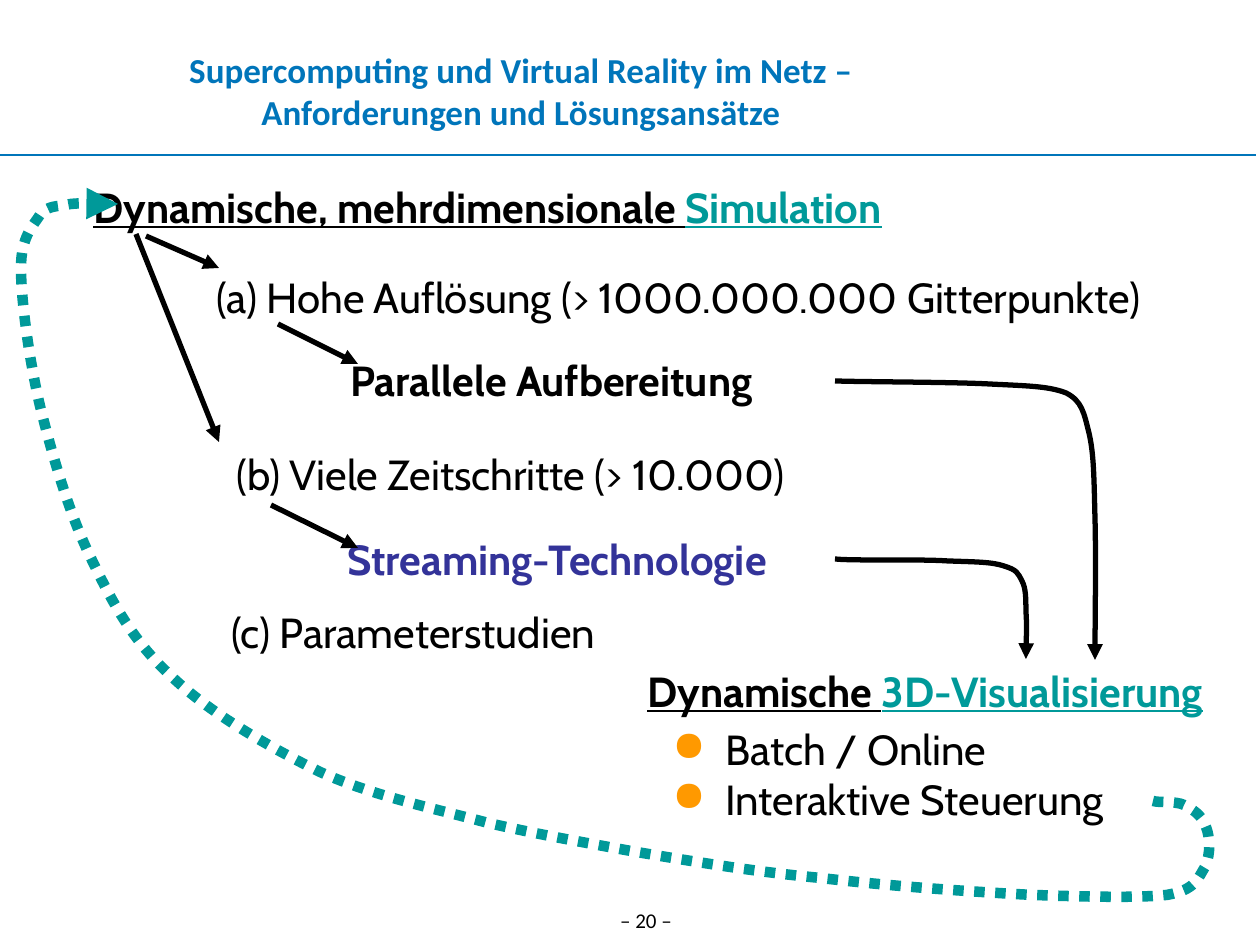
from dataclasses import dataclass

from lxml.etree import SubElement
from pptx import Presentation
from pptx.dml.color import RGBColor as RGB
from pptx.enum.dml import MSO_LINE
from pptx.enum.shapes import MSO_CONNECTOR as CONN
from pptx.enum.text import MSO_ANCHOR as ANCHOR, MSO_AUTO_SIZE as FIT, PP_ALIGN as ALIGN
from pptx.oxml.ns import qn
from pptx.util import Emu, Pt

SCALE = 914400 / 126  # EMU per px


@dataclass(frozen=True)
class Theme:
    black: str = "000000"
    blue: str = "0075BA"
    teal: str = "009999"
    indigo: str = "333399"
    orange: str = "FF9900"
    heading_font: str = "Calibri"
    body_font: str = "Cabin"
    title_size: int = 20
    body_size: int = 24
    footer_size: int = 12
    rule: float = 0.75
    arrow: int = 3
    loop: int = 6


def px(n):
    return Emu(round(n * SCALE))


class Deck:
    def __init__(self, prs, theme):
        self.theme = theme
        self.s = prs.slides.add_slide(prs.slide_layouts[5])

    def style(self, r, size, font, color, bold=False, underline=False):
        r.font.size, r.font.name = Pt(size), font
        r.font.color.rgb = RGB.from_string(color)
        r.font.bold, r.font.underline = bold, underline

    def title(self, text, x, y, w, h):
        t, sp = self.theme, self.s.shapes.title
        sp.left, sp.top, sp.width, sp.height = map(px, (x, y, w, h))
        tf = sp.text_frame
        tf.margin_left = tf.margin_right = tf.margin_top = tf.margin_bottom = 0
        tf.vertical_anchor, tf.auto_size = ANCHOR.MIDDLE, FIT.NONE
        p = tf.paragraphs[0]
        p.text = text
        p.alignment = ALIGN.CENTER
        for r in p.runs:
            self.style(r, t.title_size, t.heading_font, t.blue, bold=True)

    def box(self, x, y, w, h):
        tf = self.s.shapes.add_textbox(*map(px, (x, y, w, h))).text_frame
        tf.word_wrap = True
        return tf

    def text(self, x, y, w, *parts, h=63, **look):
        """Each part is a (wording, colour) pair."""
        t = self.theme
        p = self.box(x, y, w, h).paragraphs[0]
        for wording, color in parts:
            r = p.add_run()
            r.text = wording
            self.style(r, t.body_size, t.body_font, color, **look)

    def bullets(self, x, y, w, h, items):
        t, tf = self.theme, self.box(x, y, w, h)
        tf.text = "\n".join(items)
        for p in tf.paragraphs:
            pPr = p._p.get_or_add_pPr()
            pPr.set("marL", str(px(53)))
            pPr.set("indent", str(px(-53)))
            SubElement(SubElement(pPr, qn("a:buClr")), qn("a:srgbClr"), val=t.orange)
            SubElement(pPr, qn("a:buChar"), char="●")
            self.style(p.runs[0], t.body_size, t.body_font, t.black)

    def footer(self, text, x, y, w, h):
        t, p = self.theme, self.box(x, y, w, h).paragraphs[0]
        p.text = text
        p.alignment = ALIGN.CENTER
        self.style(p.runs[0], t.footer_size, t.heading_font, t.black)

    def stroke(self, sp, color, width, head=True):
        sp.line.color.rgb = RGB.from_string(color)
        sp.line.width = Pt(width)
        if head:
            SubElement(sp.line._get_or_add_ln(), qn("a:tailEnd"), type="triangle")

    def line(self, x1, y1, x2, y2, color, width, head=True):
        sp = self.s.shapes.add_connector(CONN.STRAIGHT, *map(px, (x1, y1, x2, y2)))
        self.stroke(sp, color, width, head)
        SubElement(sp._element.spPr, qn("a:effectLst"))

    def curve(self, points, color, width, dash=None):
        """Start point, then three points for each Bézier segment."""
        fb = self.s.shapes.build_freeform(*points[0], scale=SCALE)
        fb.add_line_segments(points[1:], close=False)
        sp = fb.convert_to_shape()
        sp.shadow.inherit = False
        sp.fill.background()
        if dash:
            sp.line.dash_style = dash
        self.stroke(sp, color, width)
        steps = sp._element.xpath(".//a:lnTo")
        outline = steps[0].getparent()
        for i in range(0, len(steps), 3):
            bezier = SubElement(outline, qn("a:cubicBezTo"))
            for step in steps[i:i + 3]:
                bezier.append(step[0])
                outline.remove(step)


def main():
    prs = Presentation()
    prs.slide_width, prs.slide_height = px(1260), px(945)
    t = Theme()
    d = Deck(prs, t)

    # Header and page number
    d.line(-5, 155, 1256, 155, t.blue, t.rule, head=False)
    d.title("Supercomputing und Virtual Reality im Netz –\vAnforderungen und Lösungsansätze",
            25, 45, 992, 91)
    d.footer("– 20 –", 591, 901, 110, 64)

    # Simulation and its requirements
    d.text(81, 175, 939, ("Dynamische, mehrdimensionale ", t.black), ("Simulation", t.teal),
           bold=True, underline=True)
    d.text(204, 265, 999, ("(a) Hohe Auflösung (> 1000.000.000 Gitterpunkte)", t.black))
    d.text(338, 348, 501, ("Parallele Aufbereitung", t.black), bold=True)
    d.text(224, 442, 616, ("(b) Viele Zeitschritte (> 10.000)", t.black))
    d.text(335, 527, 513, ("Streaming-Technologie", t.indigo), bold=True)
    d.text(219, 600, 432, ("(c) Parameterstudien", t.black))

    # Arrows to requirements and solutions
    for ends in ((146, 236, 219, 268), (136, 234, 219, 442),
                 (278, 324, 358, 364), (271, 505, 358, 548)):
        d.line(*ends, t.black, t.arrow)

    # Visualisation
    d.text(635, 659, 620, ("Dynamische ", t.black), ("3D-Visualisierung", t.teal),
           bold=True, underline=True)
    d.bullets(660, 717, 508, 113, ["Batch / Online", "Interaktive Steuerung"])

    # Curved arrows from solutions to visualisation
    d.curve([(835, 381), (861, 382), (949, 382), (988, 384),
             (1026, 386), (1048, 386), (1066, 393),
             (1082, 401), (1084, 413), (1089, 433),
             (1094, 454), (1094, 479), (1095, 517),
             (1096, 554), (1095, 630), (1095, 660)], t.black, t.arrow)
    d.curve([(835, 559), (854, 561), (920, 559), (948, 561),
             (977, 562), (992, 562), (1004, 566),
             (1017, 570), (1018, 573), (1022, 581),
             (1026, 588), (1026, 599), (1026, 611),
             (1027, 625), (1026, 649), (1026, 659)], t.black, t.arrow)

    # Dotted feedback loop from steering to simulation
    d.curve([(1153, 801), (1158, 803), (1176, 801), (1184, 805),
             (1192, 809), (1202, 815), (1206, 827),
             (1210, 837), (1211, 854), (1205, 867),
             (1198, 878), (1196, 890), (1167, 895),
             (1139, 898), (1090, 897), (1032, 895),
             (974, 892), (887, 886), (820, 878),
             (755, 872), (690, 861), (636, 852),
             (581, 842), (541, 835), (488, 823),
             (436, 809), (373, 796), (320, 772),
             (267, 746), (208, 712), (170, 675),
             (131, 639), (111, 600), (89, 554),
             (68, 510), (52, 454), (40, 406),
             (29, 359), (21, 300), (21, 268),
             (21, 237), (33, 226), (40, 215),
             (48, 205), (57, 207), (71, 204),
             (83, 203), (108, 204), (118, 204)], t.teal, t.loop, MSO_LINE.ROUND_DOT)

    prs.save("out.pptx")


if __name__ == "__main__":
    main()
